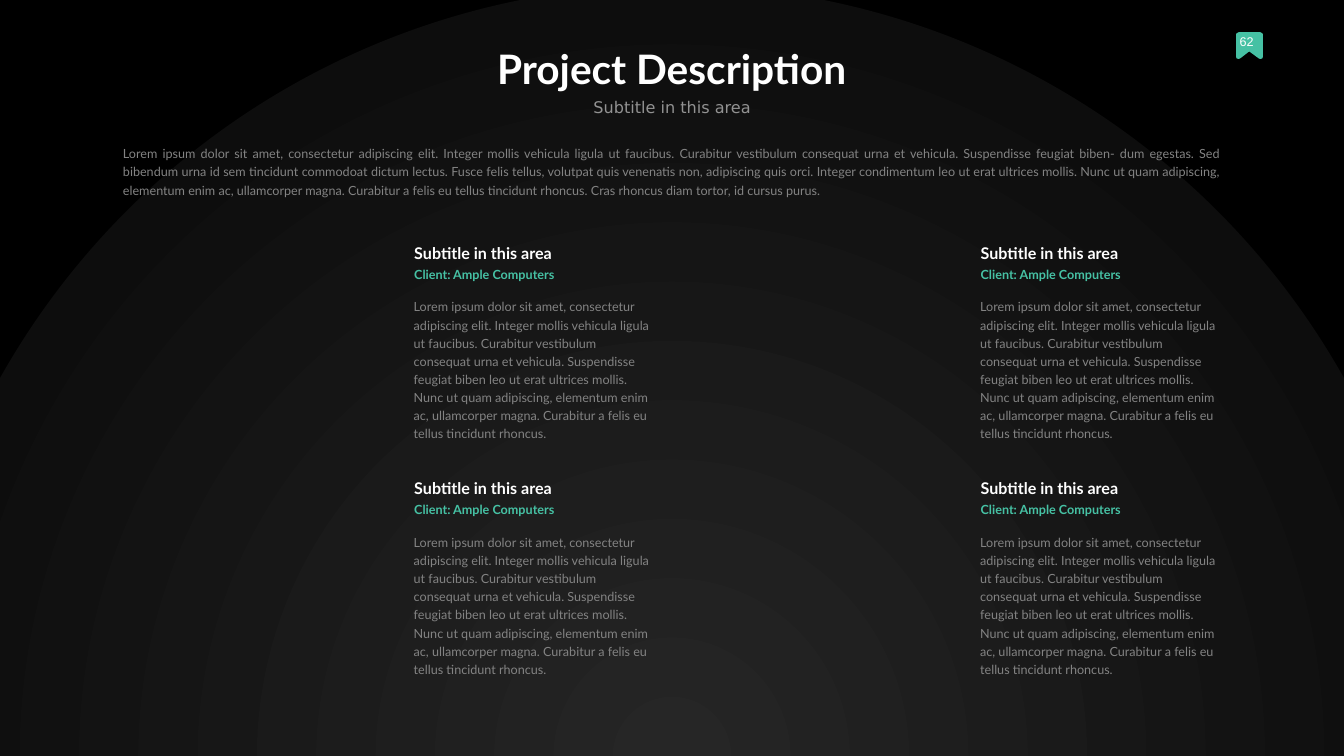
from dataclasses import dataclass
from itertools import product
from typing import Optional

from lxml import etree
from pptx import Presentation
from pptx.dml.color import RGBColor
from pptx.enum.text import MSO_ANCHOR, PP_ALIGN
from pptx.oxml import parse_xml
from pptx.oxml.ns import qn
from pptx.shapes.autoshape import Shape
from pptx.slide import Slide
from pptx.util import Inches, Pt

LEFT, CENTER, JUSTIFY = PP_ALIGN.LEFT, PP_ALIGN.CENTER, PP_ALIGN.JUSTIFY
TOP, MIDDLE = MSO_ANCHOR.TOP, MSO_ANCHOR.MIDDLE


@dataclass(frozen=True)
class TextStyle:
    size: float
    color: str
    font: str = "Lato"
    bold: bool = False
    align: PP_ALIGN = LEFT
    line_spacing: float = 1.0
    anchor: MSO_ANCHOR = TOP
    inset: float = 0.0


@dataclass(frozen=True)
class Theme:
    accent: str = "46C1A4"
    glow: tuple[tuple[int, str], ...] = (
        (0, "808080"), (0, "262626"), (100, "0D0D0D"), (100, "000000"))
    title: TextStyle = TextStyle(58, "FFFFFF", bold=True, align=CENTER, anchor=MIDDLE, inset=0.06)
    subtitle: TextStyle = TextStyle(23, "929292", "DejaVu Sans", align=CENTER)
    intro: TextStyle = TextStyle(18, "838383", align=JUSTIFY, line_spacing=1.2)
    body: TextStyle = TextStyle(18, "838383", line_spacing=1.2)
    heading: TextStyle = TextStyle(23, "FFFFFF", bold=True)
    client: TextStyle = TextStyle(18, accent, bold=True)
    page_number: TextStyle = TextStyle(18, "FFFFFF", "Arial")


@dataclass(frozen=True)
class Box:
    left: float
    top: float
    width: float
    height: float


@dataclass(frozen=True)
class Project:
    heading: str
    client: str
    description: str


THEME = Theme()
INTRO = (
    "Lorem ipsum dolor sit amet, consectetur adipiscing elit. Integer mollis vehicula ligula ut "
    "faucibus. Curabitur vestibulum consequat urna et vehicula. Suspendisse feugiat biben- dum "
    "egestas. Sed bibendum urna id sem tincidunt commodoat dictum lectus. Fusce felis tellus, "
    "volutpat quis venenatis non, adipiscing quis orci. Integer condimentum leo ut erat ultrices "
    "mollis. Nunc ut quam adipiscing, elementum enim ac, ullamcorper magna. Curabitur a felis eu "
    "tellus tincidunt rhoncus. Cras rhoncus diam tortor, id cursus purus."
)
PROJECT = Project(
    "Subtitle in this area",
    "Client: Ample Computers",
    "Lorem ipsum dolor sit amet, consectetur adipiscing elit. Integer mollis vehicula ligula ut "
    "faucibus. Curabitur vestibulum consequat urna et vehicula. Suspendisse feugiat biben leo ut "
    "erat ultrices mollis. Nunc ut quam adipiscing, elementum enim ac, ullamcorper magna. "
    "Curabitur a felis eu tellus tincidunt rhoncus.",
)
COLUMNS = (8.22, 19.46)
ROWS = (4.82, 9.49)
BOOKMARK = ((0, 4), (1, 2), (5, 0), (48, 0), (52, 2), (53, 4), (53, 49), (52, 52),
            (48, 53), (45, 52), (26, 38), (8, 52), (5, 53), (1, 52), (0, 49))


def set_background(slide: Slide) -> None:
    slide.background.fill.gradient()
    gradient = slide.background._cSld.find(".//" + qn("a:gradFill"))
    for child in list(gradient):
        gradient.remove(child)
    stops = etree.SubElement(gradient, qn("a:gsLst"))
    for position, color in THEME.glow:
        stop = etree.SubElement(stops, qn("a:gs"), pos=str(position * 1000))
        etree.SubElement(stop, qn("a:srgbClr"), val=color)
    gradient.append(parse_xml(
        '<a:path xmlns:a="http://schemas.openxmlformats.org/drawingml/2006/main" path="circle">'
        '<a:fillToRect l="50000" t="130000" r="50000" b="-30000"/></a:path>'))


def add_outline(slide: Slide, left: float, top: float, points: tuple[tuple[int, int], ...],
                fill: Optional[str] = None) -> Shape:
    builder = slide.shapes.build_freeform(*points[0], scale=Inches(0.01))
    builder.add_line_segments(points[1:], close=True)
    shape = builder.convert_to_shape(Inches(left), Inches(top))
    shape.shadow.inherit = False
    shape.line.fill.background()
    if fill:
        shape.fill.solid()
        shape.fill.fore_color.rgb = RGBColor.from_string(fill)
    else:
        shape.fill.background()
    return shape


def add_text(slide: Slide, box: Box, text: str, style: TextStyle) -> None:
    right, bottom = round(box.width * 100), round(box.height * 100)
    corners = ((0, 0), (right, 0), (right, bottom), (0, bottom))
    frame = add_outline(slide, box.left, box.top, corners).text_frame
    frame.word_wrap = True
    frame.vertical_anchor = style.anchor
    frame.margin_left = frame.margin_right = Inches(style.inset)
    frame.margin_top = frame.margin_bottom = Inches(style.inset)
    paragraph = frame.paragraphs[0]
    paragraph.alignment = style.align
    paragraph.line_spacing = style.line_spacing
    run = paragraph.add_run()
    run.text = text
    run.font.name = style.font
    run.font.size = Pt(style.size)
    run.font.bold = style.bold
    run.font.color.rgb = RGBColor.from_string(style.color)


def add_project(slide: Slide, left: float, top: float, project: Project) -> None:
    add_text(slide, Box(left - 0.01, top + 1.06, 4.81, 2.88), project.description, THEME.body)
    add_text(slide, Box(left, top, 4.21, 0.39), project.heading, THEME.heading)
    add_text(slide, Box(left, top + 0.47, 4.21, 0.31), project.client, THEME.client)


def main() -> None:
    presentation = Presentation()
    presentation.slide_width = Inches(26.67)
    presentation.slide_height = Inches(15)
    slide = presentation.slides.add_slide(presentation.slide_layouts[6])
    set_background(slide)
    add_outline(slide, 24.53, 0.64, BOOKMARK, THEME.accent)
    add_text(slide, Box(2.44, 2.84, 21.78, 1.04), INTRO, THEME.intro)
    add_text(slide, Box(24.6, 0.67, 0.4, 0.39), "62", THEME.page_number)
    add_text(slide, Box(3.6, 0.81, 19.46, 1.07), "Project Description", THEME.title)
    add_text(slide, Box(3.61, 1.93, 19.46, 0.39), "Subtitle in this area", THEME.subtitle)
    for top, left in product(ROWS, COLUMNS):
        add_project(slide, left, top, PROJECT)
    presentation.save("out.pptx")


if __name__ == "__main__":
    main()
